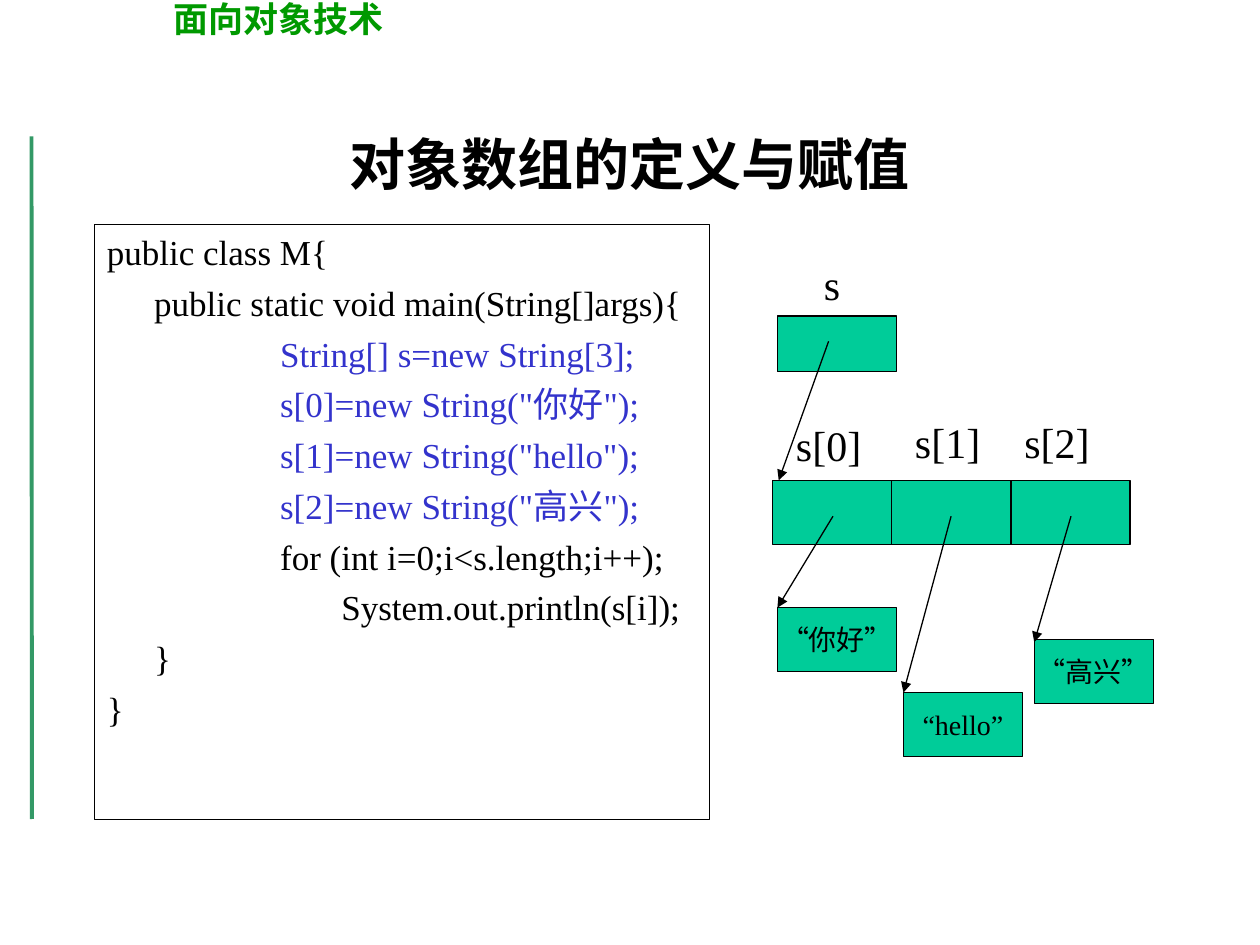
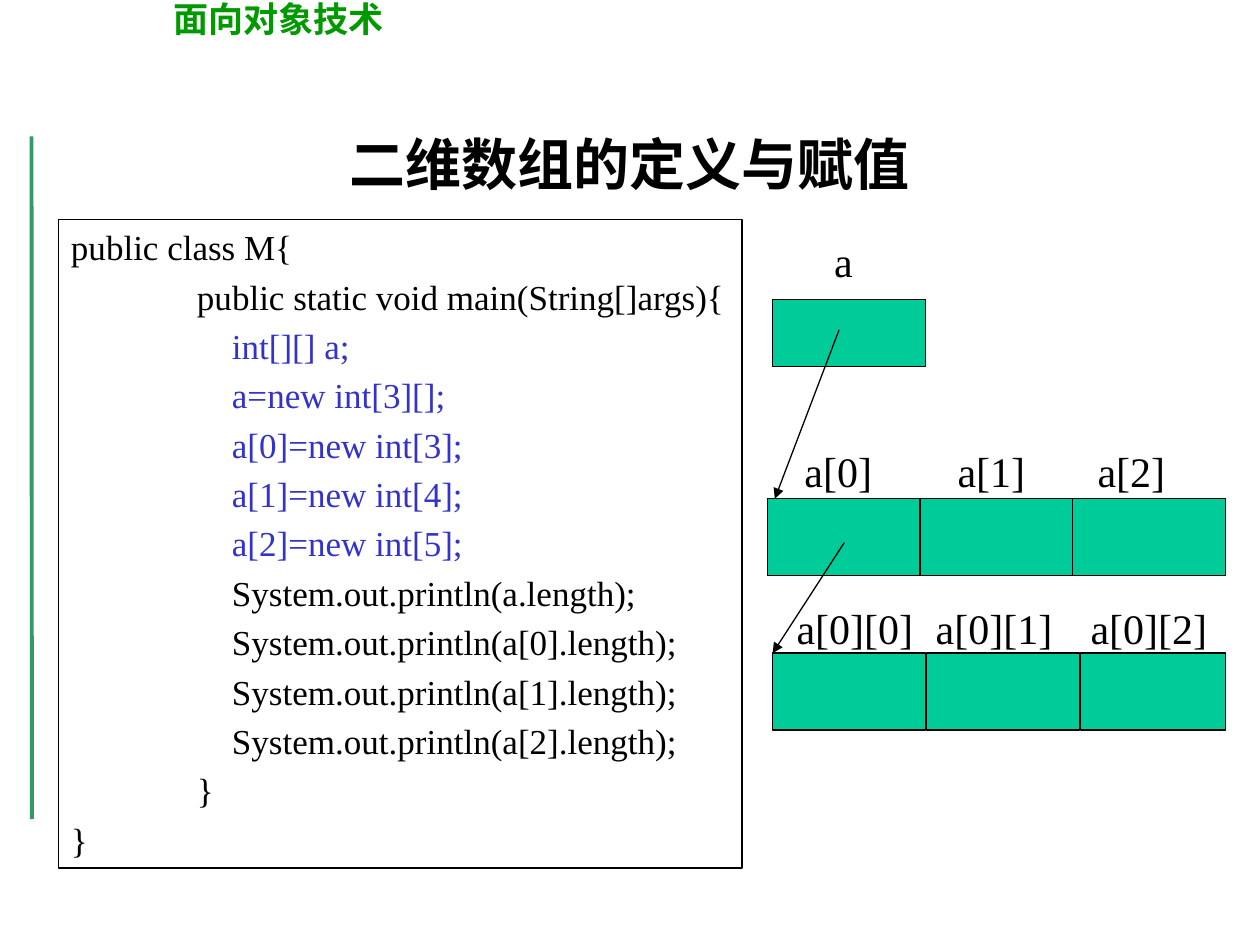
from lxml.etree import SubElement
from pptx import Presentation
from pptx.dml.color import RGBColor
from pptx.enum.shapes import MSO_CONNECTOR as Connector, MSO_SHAPE as Shape
from pptx.enum.text import MSO_ANCHOR as Anchor, MSO_AUTO_SIZE as AutoSize, PP_ALIGN as Align
from pptx.oxml.ns import qn
from pptx.util import Pt

BLACK, BLUE, TEAL = "000000", "3333CC", "00CC99"
HEADER_GREEN, RULE_GREEN = "009900", "339966"
SERIF, CJK = "Times New Roman", "Noto Sans CJK SC"
COURSE = "面向对象技术"

# Content: code lines are (indent level, text), "blue" lists the highlighted ones;
# places are left, top, width, height
LESSONS = [
    {
        "title": "对象数组的定义与赋值",
        "code": [
            (0, "public class M{"),
            (1, "public static void main(String[]args){"),
            (2, "String[] s=new String[3];"),
            (2, 's[0]=new String("你好");'),
            (2, 's[1]=new String("hello");'),
            (2, 's[2]=new String("高兴");'),
            (2, "for (int i=0;i<s.length;i++);"),
            (2, "       System.out.println(s[i]);"),
            (1, "}"),
            (0, "}"),
        ],
        "blue": range(2, 6),
        "panel": (54, 128.25, 351.5, 340.25),
        "indents": (0, 27, 99),
        "line_gap": 5,
        "pointer": (444.25, 180.5, 68, 32),
        "rows": [{"left": 441.5, "top": 274.5, "step": 68.1, "widths": [68.1] * 3,
                  "height": 36.5}],
        "label_size": (68, 36.5),
        "labels": [("s", 441.5, 144), ("s[0]", 439.5, 236), ("s[1]", 507.5, 234),
                   ("s[2]", 570, 234)],
        "values": [("“你好”", 444.25, 347.25), ("“hello”", 516.25, 395.75),
                   ("“高兴”", 591, 365.5)],
        "arrows": [((473.5, 195), (445, 274.5)), ((476, 295), (444.25, 347.25)),
                   ((543.5, 295), (516.25, 395.75)), ((612, 295), (591, 367))],
    },
    {
        "title": "二维数组的定义与赋值",
        "code": [
            (0, "public class M{"),
            (1, "public static void main(String[]args){"),
            (1, "    int[][] a;"),
            (1, "    a=new int[3][];"),
            (1, "    a[0]=new int[3];"),
            (1, "    a[1]=new int[4];"),
            (1, "    a[2]=new int[5];"),
            (1, "    System.out.println(a.length);"),
            (1, "    System.out.println(a[0].length);"),
            (1, "    System.out.println(a[1].length);"),
            (1, "    System.out.println(a[2].length);"),
            (1, "}"),
            (0, "}"),
        ],
        "blue": range(2, 7),
        "panel": (33.5, 125.5, 390.5, 370.5),
        "indents": (0, 72),
        "line_gap": 4.2,
        "pointer": (441.5, 171, 87.25, 38.5),
        "rows": [
            {"left": 438.5, "top": 285, "step": 87.25, "widths": [87.25] * 3, "height": 44},
            {"left": 441.5, "top": 373.25, "step": 88, "widths": [87.25, 87.25, 83],
             "height": 44},
        ],
        "label_size": (87, 44),
        "labels": [("a", 438.5, 127), ("a[0]", 435.5, 247), ("a[1]", 523, 247),
                   ("a[2]", 603, 247), ("a[0][0]", 445, 336.5), ("a[0][1]", 524.5, 336.5),
                   ("a[0][2]", 613, 336.5)],
        "values": [],
        "arrows": [((479.5, 188.5), (442.75, 285)), ((482.5, 310), (441.5, 373.25))],
    },
]


def rgb(color):
    return RGBColor.from_string(color)


def style(paragraph, size, color=BLACK, bold=False, latin=SERIF):
    font = paragraph.font
    font.size, font.bold, font.name = Pt(size), bold, latin
    font.color.rgb = rgb(color)
    defaults = paragraph._p.pPr.find(qn("a:defRPr"))
    SubElement(defaults, qn("a:ea")).set("typeface", CJK)


def write(shape, text, size, **look):
    frame = shape.text_frame
    frame.word_wrap = False
    frame.vertical_anchor = Anchor.MIDDLE
    paragraph = frame.paragraphs[0]
    paragraph.text = text
    paragraph.alignment = Align.CENTER
    style(paragraph, size, **look)


def add_box(slide, place, fill=TEAL):
    box = slide.shapes.add_shape(Shape.RECTANGLE, *map(Pt, place))
    box.shadow.inherit = False
    if fill:
        box.fill.solid()
        box.fill.fore_color.rgb = rgb(fill)
    else:
        box.fill.background()
    box.line.color.rgb = rgb(BLACK)
    box.line.width = Pt(0.75)
    return box


def add_line(slide, start, end, color=BLACK, width=0.75, arrow=False):
    line = slide.shapes.add_connector(Connector.STRAIGHT, *map(Pt, start + end))
    line.line.color.rgb = rgb(color)
    line.line.width = Pt(width)
    properties = line._element.spPr
    if arrow:
        SubElement(properties.find(qn("a:ln")), qn("a:tailEnd")).set("type", "triangle")
    SubElement(properties, qn("a:effectLst"))


def add_frame(slide, title):
    """Side rule, course header and title, alike on every slide."""
    add_line(slide, (18, 78), (18.25, 468), RULE_GREEN, 2.25)
    header = slide.shapes.add_textbox(Pt(92), Pt(-5), Pt(382), Pt(32))
    write(header, COURSE, 20, color=HEADER_GREEN, bold=True, latin=CJK)
    header.text_frame.vertical_anchor = Anchor.TOP
    header.text_frame.word_wrap = True
    header.text_frame.paragraphs[0].alignment = Align.LEFT
    heading = slide.shapes.title
    heading.left, heading.top, heading.width, heading.height = map(Pt, (54, 48, 612, 90))
    write(heading, title, 32, bold=True)
    heading.text_frame.word_wrap = True
    heading.text_frame.auto_size = AutoSize.NONE


def add_code(slide, lesson):
    frame = add_box(slide, lesson["panel"], fill=None).text_frame
    frame.word_wrap = True
    frame.vertical_anchor = Anchor.TOP
    for number, (level, code_line) in enumerate(lesson["code"]):
        paragraph = frame.add_paragraph() if number else frame.paragraphs[0]
        paragraph.text = code_line
        paragraph.alignment = Align.LEFT
        if number:
            paragraph.space_before = Pt(lesson["line_gap"])
        paragraph._p.get_or_add_pPr().set("marL", str(Pt(lesson["indents"][level])))
        style(paragraph, 20, BLUE if number in lesson["blue"] else BLACK)


def add_diagram(slide, lesson):
    add_box(slide, lesson["pointer"])
    for row in lesson["rows"]:
        for column, width in enumerate(row["widths"]):
            left = row["left"] + column * row["step"]
            add_box(slide, (left, row["top"], width, row["height"]))
    for text, left, top in lesson["labels"]:
        place = (left, top, *lesson["label_size"])
        write(slide.shapes.add_textbox(*map(Pt, place)), text, 24)
    for text, left, top in lesson["values"]:
        write(add_box(slide, (left, top, *lesson["label_size"])), text, 16)
    for start, end in lesson["arrows"]:
        add_line(slide, start, end, arrow=True)


def main():
    deck = Presentation()
    deck.slide_width, deck.slide_height = Pt(720), Pt(540)
    for lesson in LESSONS:
        slide = deck.slides.add_slide(deck.slide_layouts[5])
        add_frame(slide, lesson["title"])
        add_code(slide, lesson)
        add_diagram(slide, lesson)
    deck.save("out.pptx")


if __name__ == "__main__":
    main()
